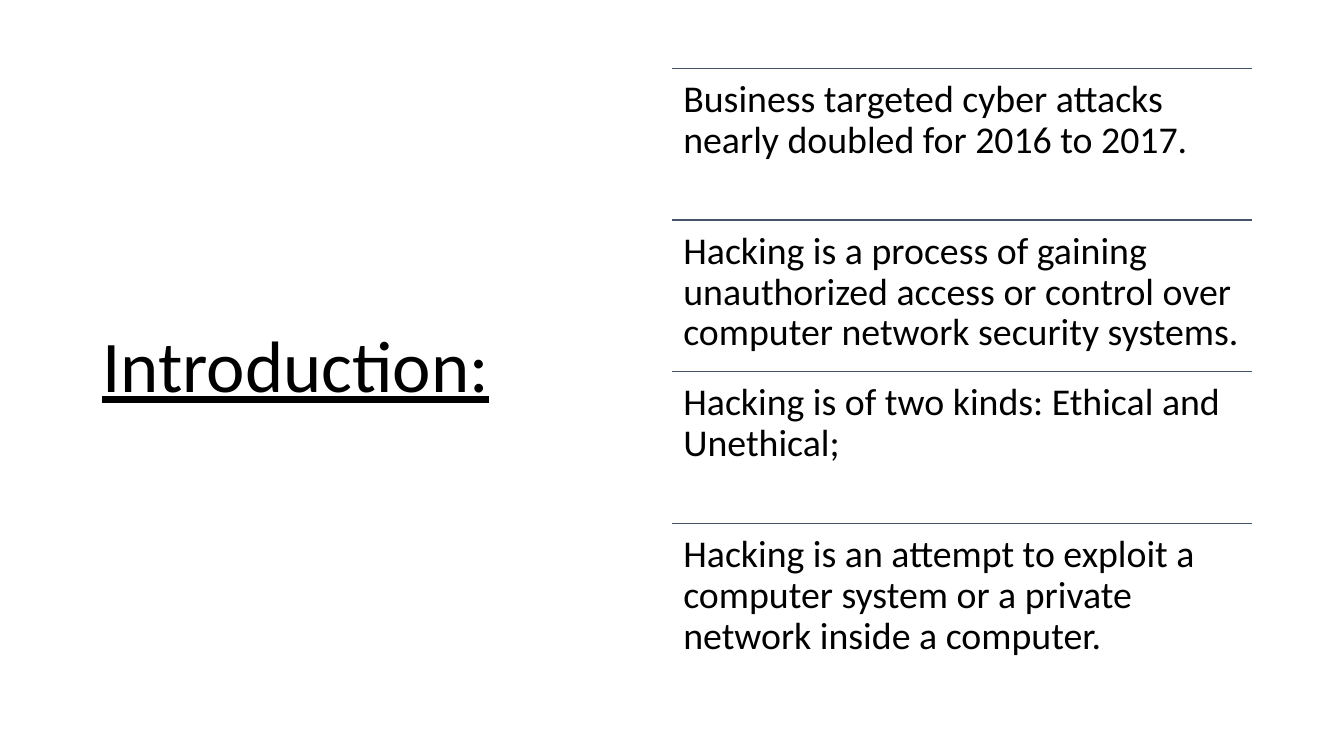
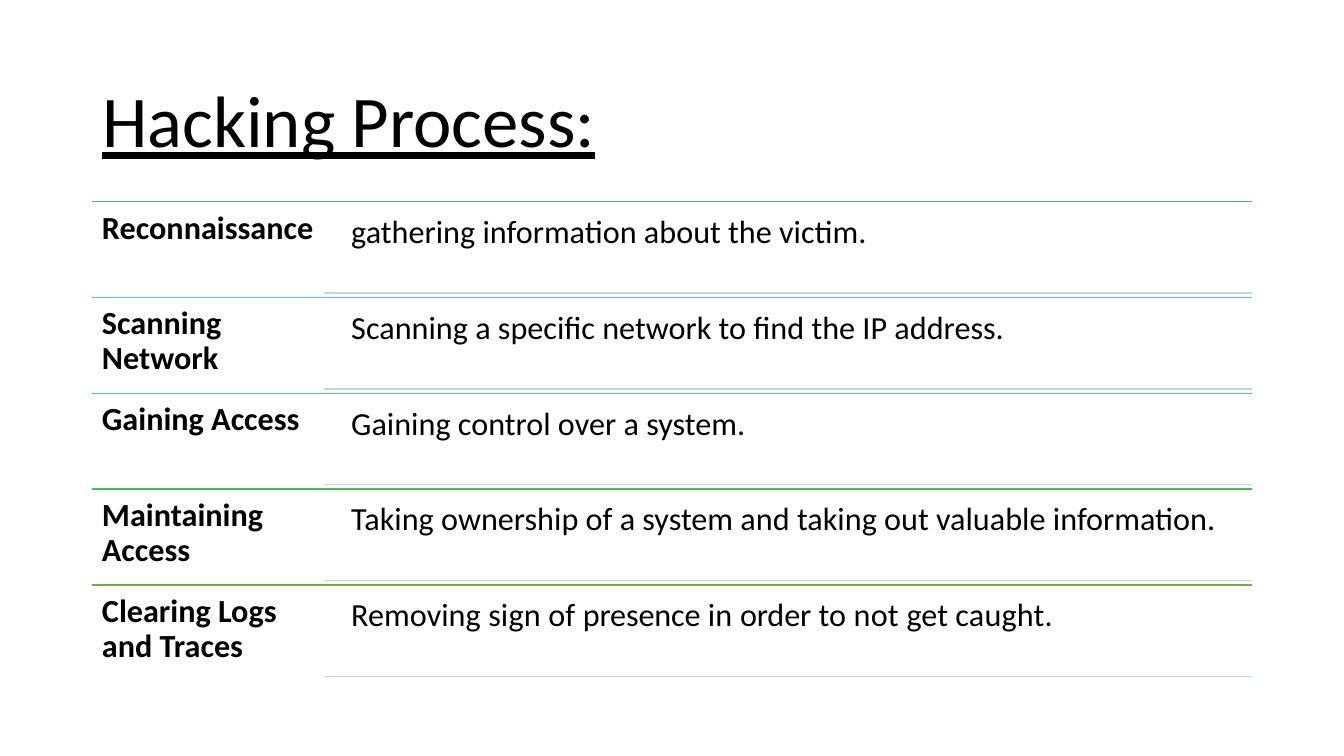
import pptx
import pptx.dml.color
import pptx.enum.shapes
import pptx.enum.text
import pptx.oxml.ns
import pptx.util
import lxml.etree

Pt = pptx.util.Pt
COLORS = {
    "text": "000000",
    "point_rule": "44546A",
    "detail_rule": "C4D5EB",
    "reconnaissance": "5B9BD5",
    "scanning": "54CCCD",
    "gaining": "4DC58D",
    "maintaining": "48BB4F",
    "clearing": "70AD47",
}
FONT = "Calibri"
LEFT, RIGHT = 66, 894
TITLE_TOP = 44
TITLE_FORMAT = {"size": 52, "underline": True, "anchor": "MIDDLE", "inset": (7.2, 3.6)}


def add_text(slide, text, left, top, width, height, size, bold=False,
             underline=False, anchor="TOP", inset=(7.2, 7.2)):
    shape = slide.shapes.add_textbox(Pt(left), Pt(top), Pt(width), Pt(height))
    frame = shape.text_frame
    frame.word_wrap = True
    frame.vertical_anchor = pptx.enum.text.MSO_ANCHOR[anchor]
    frame.margin_left = frame.margin_right = Pt(inset[0])
    frame.margin_top = frame.margin_bottom = Pt(inset[1])
    paragraph = frame.paragraphs[0]
    paragraph.line_spacing = 0.9
    pieces = [(text, 0)] if isinstance(text, str) else text
    for words, spacing in pieces:
        run = paragraph.add_run()
        run.text = words
        run.font.name = FONT
        run.font.size = Pt(size)
        run.font.bold = bold
        run.font.underline = underline
        run.font.color.rgb = pptx.dml.color.RGBColor.from_string(COLORS["text"])
        if spacing:
            run._r.get_or_add_rPr().set("spc", str(round(spacing * 100)))


def add_rule(slide, left, top, color):
    rule = slide.shapes.add_connector(
        pptx.enum.shapes.MSO_CONNECTOR.STRAIGHT, Pt(left), Pt(top), Pt(RIGHT), Pt(top))
    rule.line.color.rgb = pptx.dml.color.RGBColor.from_string(COLORS[color])
    rule.line.width = Pt(1)
    lxml.etree.SubElement(rule._element.spPr, pptx.oxml.ns.qn("a:effectLst"))


presentation = pptx.Presentation()
presentation.slide_width = Pt(960)
presentation.slide_height = Pt(540)
blank_layout = presentation.slide_layouts[6]

slide = presentation.slides.add_slide(blank_layout)
add_text(slide, "Introduction:", LEFT, TITLE_TOP, 383, 438.5, **TITLE_FORMAT)

points = [
    "Business targeted cyber attacks nearly doubled for 2016 to 2017.",
    "Hacking is a process of gaining unauthorized access or control over computer network security systems.",
    "Hacking is of two kinds: Ethical and Unethical;",
    "Hacking is an attempt to exploit a computer system or a private network inside a computer.",
]
point_left, point_top, point_height = 480, 49, 108.25
for index, point in enumerate(points):
    top = point_top + index * point_height
    add_rule(slide, point_left, top, "point_rule")
    add_text(slide, point, point_left, top, RIGHT - point_left, point_height,
             size=27, inset=(8.1, 8.1))

slide = presentation.slides.add_slide(blank_layout)
add_text(slide, "Hacking Process:", LEFT, TITLE_TOP, RIGHT - LEFT, 89.5, **TITLE_FORMAT)

steps = [
    ("Reconnaissance", "gathering information about the victim.", "reconnaissance"),
    ("Scanning Network", "Scanning a specific network to find the IP address.", "scanning"),
    ("Gaining Access", "Gaining control over a system.", "gaining"),
    ("Maintaining Access",
     "Taking ownership of a system and taking out valuable information.", "maintaining"),
    ("Clearing Logs and Traces",
     [("Removing ", 0), ("sign of", 0.1), (" presence ", -0.1), ("in ", 0.1),
      ("order ", -0.1), ("to not ", 0.1), ("get ", 0), ("caught.", 0.1)], "clearing"),
]
step_top, step_height, name_width = 144, 68.45, 165.6
detail_left, detail_offset, detail_height = 244, 3.1, 62.2
for index, (name, detail, color) in enumerate(steps):
    top = step_top + index * step_height
    detail_top = top + detail_offset
    add_rule(slide, LEFT, top, color)
    add_text(slide, name, LEFT, top, name_width, step_height, size=23, bold=True, inset=(6.9, 6.9))
    add_text(slide, detail, detail_left, detail_top, RIGHT - detail_left, detail_height,
             size=23, inset=(6.9, 6.9))
    add_rule(slide, LEFT + name_width, detail_top + detail_height, "detail_rule")

presentation.save("out.pptx")
